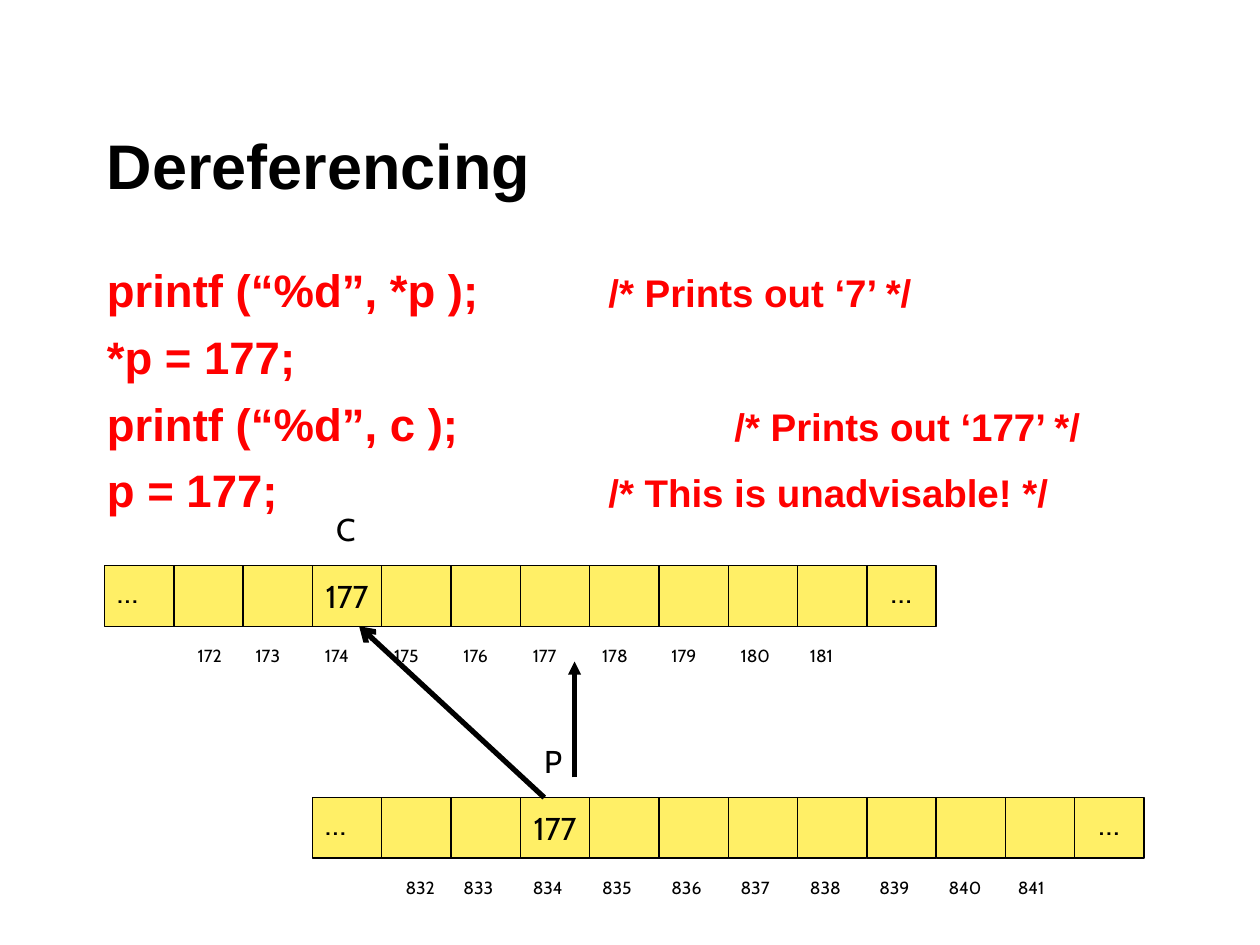
from dataclasses import dataclass

from lxml import etree
from pptx import Presentation
from pptx.dml.color import RGBColor
from pptx.enum import shapes, text
from pptx.oxml import ns
from pptx.util import Inches, Pt


@dataclass(frozen=True)
class Theme:
    heading_font: str = "Arial"
    diagram_font: str = "Cabin"
    ink: RGBColor = RGBColor(0, 0, 0)
    code: RGBColor = RGBColor(0xFF, 0, 0)
    cell: RGBColor = RGBColor(0xFF, 0xEF, 0x66)
    title_size: int = 36
    code_size: int = 26
    comment_size: int = 22
    value_size: int = 18
    address_size: int = 10


THEME = Theme()
TITLE = "Dereferencing"

# statement, comment, distance of the comment from the left margin
CODE_LINES = [
    ("printf (“%d”, *p );", "/* Prints out ‘7’ */", 3.98),
    ("*p = 177;", "", 0),
    ("printf (“%d”, c );", "/* Prints out ‘177’ */", 4.98),
    ("p = 177;", "/* This is unadvisable! */", 3.98),
]

MEMORY_ROWS = [
    {"variable": "C", "value": "177", "first_address": 172, "left": 0.83, "top": 4.49},
    {"variable": "P", "value": "177", "first_address": 832, "left": 2.48, "top": 6.33},
]
CELL_COUNT, VARIABLE_CELL = 12, 3
CELL_WIDTH, CELL_HEIGHT = 0.55, 0.48
LABEL_SHIFT = 0.09

# start, end, width in points, arrowhead
POINTERS = [
    ((4.32, 6.33), (2.85, 4.97), 3, "arrow"),
    ((4.56, 6.17), (4.56, 5.25), 2.5, "triangle"),
]


def set_font(font, name, size, color, bold=False):
    font.name, font.size, font.bold = name, Pt(size), bold
    font.color.rgb = color


def add_text(slide, words, box, name, size, anchor=text.MSO_ANCHOR.TOP, bold=False):
    frame = slide.shapes.add_textbox(*map(Inches, box)).text_frame
    frame.word_wrap = True
    frame.vertical_anchor = anchor
    line = frame.paragraphs[0]
    line.text = words
    set_font(line.font, name, size, THEME.ink, bold)


def add_tab_stop(paragraph, position):
    properties = paragraph._p.get_or_add_pPr()
    stops = etree.SubElement(properties, ns.qn("a:tabLst"))
    etree.SubElement(stops, ns.qn("a:tab"), pos=str(Inches(position)), algn="l")


def add_code(slide):
    box = slide.shapes.add_textbox(Inches(0.75), Inches(2), Inches(8.58), Inches(4.67))
    frame = box.text_frame
    frame.word_wrap = True
    frame.margin_top = Inches(0.08)
    for index, (statement, comment, comment_left) in enumerate(CODE_LINES):
        line = frame.add_paragraph() if index else frame.paragraphs[0]
        if index:
            line.space_before = Pt(7)
        if comment:
            add_tab_stop(line, comment_left)
        set_font(line.font, THEME.heading_font, THEME.code_size, THEME.code, True)
        line.add_run().text = statement + ("\t" if comment else "")
        if comment:
            remark = line.add_run()
            remark.text = comment
            remark.font.size = Pt(THEME.comment_size)


def add_cell(slide, left, top, value):
    cell = slide.shapes.add_shape(
        shapes.MSO_SHAPE.RECTANGLE,
        *map(Inches, (left, top, CELL_WIDTH, CELL_HEIGHT)))
    cell.shadow.inherit = False
    cell.fill.solid()
    cell.fill.fore_color.rgb = THEME.cell
    cell.line.color.rgb = THEME.ink
    cell.line.width = Pt(0.75)
    if value:
        frame = cell.text_frame
        frame.word_wrap = False
        frame.vertical_anchor = text.MSO_ANCHOR.MIDDLE
        line = frame.paragraphs[0]
        line.text = value
        line.alignment = text.PP_ALIGN.CENTER
        set_font(line.font, THEME.diagram_font, THEME.value_size, THEME.ink)


def add_memory_row(slide, variable, value, first_address, left, top):
    """Draw the cells, the ellipses at both ends, the variable and the addresses."""
    lefts = [left + index * CELL_WIDTH for index in range(CELL_COUNT)]
    for index, cell_left in enumerate(lefts):
        add_cell(slide, cell_left, top, value if index == VARIABLE_CELL else "")

    labels = [
        ("…", lefts[0], top),
        ("…", lefts[-1] + LABEL_SHIFT, top),
        (variable, lefts[VARIABLE_CELL] + LABEL_SHIFT, top - 0.49),
    ]
    for words, label_left, label_top in labels:
        add_text(slide, words, (label_left, label_top, 0.37, 0.4),
                 THEME.diagram_font, THEME.value_size)

    for index, cell_left in enumerate(lefts[1:-1]):
        address_left = cell_left + (0 if index else LABEL_SHIFT)
        add_text(slide, str(first_address + index),
                 (address_left, top + 0.58, CELL_WIDTH, 0.27),
                 THEME.diagram_font, THEME.address_size)


def add_pointer(slide, start, end, width, head):
    pointer = slide.shapes.add_connector(
        shapes.MSO_CONNECTOR.STRAIGHT, *map(Inches, start + end))
    pointer.line.color.rgb = THEME.ink
    pointer.line.width = Pt(width)
    etree.SubElement(pointer.line._get_or_add_ln(), ns.qn("a:tailEnd"), type=head)
    etree.SubElement(pointer._element.spPr, ns.qn("a:effectLst"))


def main():
    deck = Presentation()
    deck.slide_width, deck.slide_height = Inches(10), Inches(7.5)
    slide = deck.slides.add_slide(deck.slide_layouts[6])
    add_text(slide, TITLE, (0.75, 0.82, 7.51, 0.83), THEME.heading_font,
             THEME.title_size, text.MSO_ANCHOR.BOTTOM, True)
    add_code(slide)
    for row in MEMORY_ROWS:
        add_memory_row(slide, **row)
    for pointer in POINTERS:
        add_pointer(slide, *pointer)
    deck.save("out.pptx")


if __name__ == "__main__":
    main()
